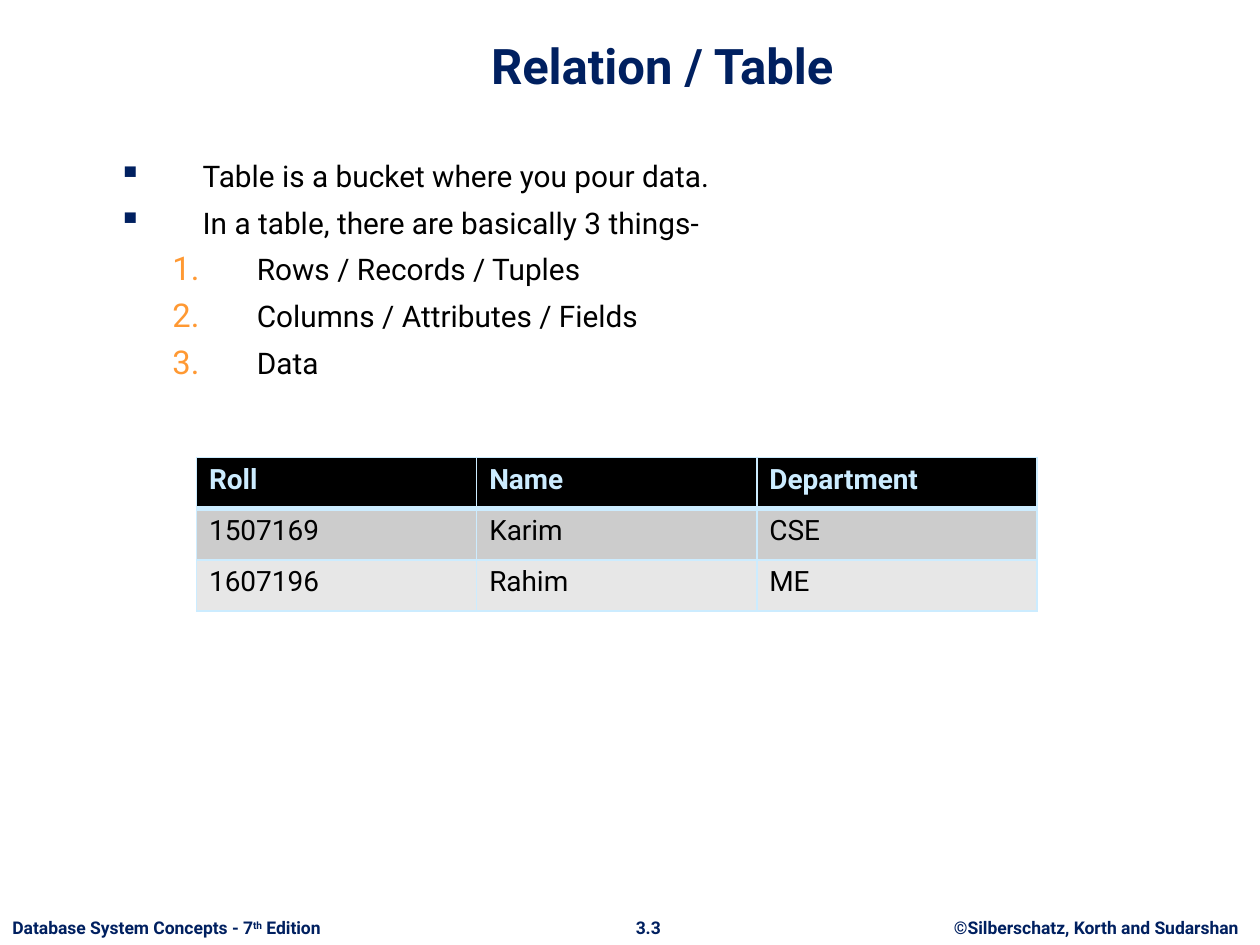
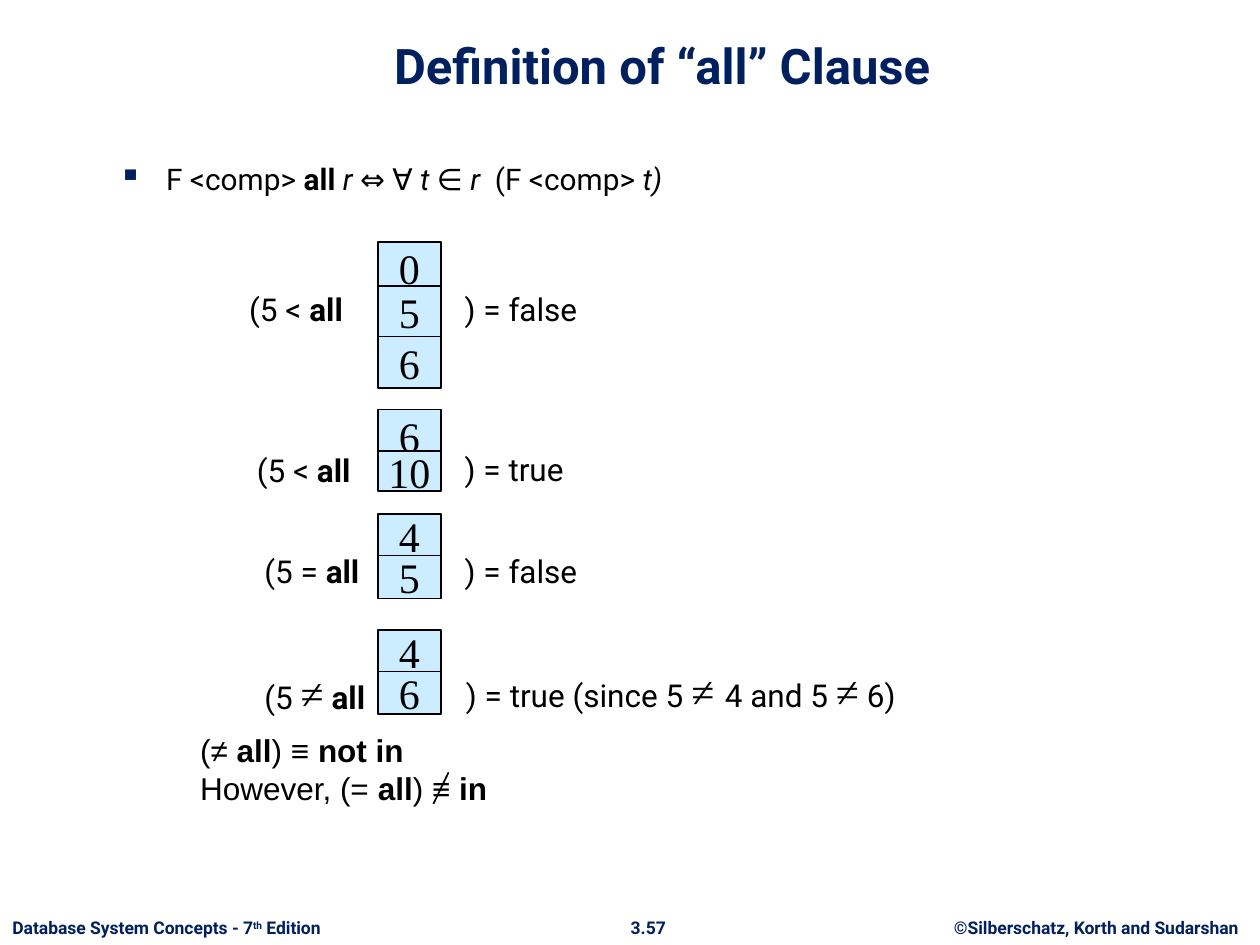
import pptx
import pptx.dml.color
import pptx.enum.shapes
import pptx.enum.text
import pptx.oxml
import pptx.oxml.ns
import pptx.util
from lxml import etree

Inches = pptx.util.Inches
Pt = pptx.util.Pt
ALIGN = pptx.enum.text.PP_ALIGN
ANCHOR = pptx.enum.text.MSO_ANCHOR

NAVY, BLACK, ORANGE, PALE_BLUE = "002060", "000000", "FF9933", "CCECFF"
ROW_FILLS = [BLACK, "CCCCCC", "E7E7E7"]
FONT, SERIF, SANS = "Roboto", "Times New Roman", "Arial"

BOLD = {"bold": True}
ITALIC = {"italic": True}
NOT_EQUAL = ("≠", {"size": 24, "font": SERIF})


def color(value):
    return pptx.dml.color.RGBColor.from_string(value)


def add_element(parent, tag, **attributes):
    return etree.SubElement(parent, pptx.oxml.ns.qn(tag), attributes)


def write_paragraph(paragraph, text, size=18, font=FONT, fill=BLACK, bold=False,
                    italic=False, raised=False, align=ALIGN.LEFT, before=0):
    """Write a string, or a list of strings and (string, format) pairs."""
    paragraph.alignment = align
    paragraph.space_before = Pt(before)
    for part in [text] if isinstance(text, str) else text:
        words, changes = (part, {}) if isinstance(part, str) else part
        look = {"size": size, "font": font, "bold": bold, "italic": italic,
                "raised": raised} | changes
        run = paragraph.add_run()
        run.text = words
        run.font.size = Pt(look["size"])
        run.font.name = look["font"]
        run.font.bold = look["bold"]
        run.font.italic = look["italic"]
        run.font.color.rgb = color(fill)
        if look["raised"]:
            run.font._element.set("baseline", "30000")


def add_text(slide, box, *lines, wrap=True, anchor=ANCHOR.TOP, **text_format):
    """Add a text box with one paragraph for each line."""
    frame = slide.shapes.add_textbox(*map(Inches, box)).text_frame
    frame.word_wrap = wrap
    frame.vertical_anchor = anchor
    for index, line in enumerate(lines):
        paragraph = frame.paragraphs[0] if index == 0 else frame.add_paragraph()
        write_paragraph(paragraph, line, **text_format)
    return frame


def add_bullet(paragraph, left, hanging, numbered=False):
    properties = paragraph._p.get_or_add_pPr()
    properties.set("marL", str(Inches(left)))
    properties.set("indent", str(-Inches(hanging)))
    bullet_color = add_element(properties, "a:buClr")
    add_element(bullet_color, "a:srgbClr", val=ORANGE if numbered else NAVY)
    add_element(properties, "a:buSzPct", val="110000")
    if numbered:
        add_element(properties, "a:buAutoNum", type="arabicPeriod")
    else:
        add_element(properties, "a:buChar", char="▪")


def add_base_slide(presentation, title, number):
    """Blank slide with the shared title and footers."""
    slide = presentation.slides.add_slide(presentation.slide_layouts[6])
    footers = [
        (0, 2.81, ["Database System Concepts - 7", ("th", {"raised": True}), " Edition"]),
        (4.9, 0.49, number),
        (7.4, 2.6, "©Silberschatz, Korth and Sudarshan"),
    ]
    for left, width, text in footers:
        add_text(slide, (left, 7.23, width, 0.27), text, wrap=False, size=10,
                 fill=NAVY, bold=True, align=ALIGN.CENTER if left else ALIGN.LEFT)
    add_text(slide, (0.84, 0.13, 8.83, 0.67), title, anchor=ANCHOR.BOTTOM,
             size=28, fill=NAVY, bold=True, align=ALIGN.CENTER)
    return slide


# Relation slide

def add_outline(slide, box):
    points = ["Table is a bucket where you pour data.",
              "In a table, there are basically 3 things-"]
    things = ["Rows / Records / Tuples", "Columns / Attributes / Fields", "Data"]
    frame = add_text(slide, box, *points, *things, size=17, before=6.4)
    frame.paragraphs[0].space_before = Pt(0)
    for index, paragraph in enumerate(frame.paragraphs):
        numbered = index >= len(points)
        add_bullet(paragraph, 1.1 if numbered else 0.67, 0.67, numbered)


def set_borders(cell, bottom):
    properties = cell._tc.get_or_add_tcPr()
    for position, side in enumerate(["L", "R", "T", "B"]):
        width = Pt(bottom if side == "B" else 1)
        line = pptx.oxml.parse_xml(
            f'<a:ln{side} {pptx.oxml.ns.nsdecls("a")} w="{width}"><a:solidFill>'
            f'<a:srgbClr val="{PALE_BLUE}"/></a:solidFill></a:ln{side}>')
        properties.insert(position, line)


def add_student_table(slide, box):
    rows = [["Roll", "Name", "Department"],
            ["1507169", "Karim", "CSE"],
            ["1607196", "Rahim", "ME"]]
    table = slide.shapes.add_table(len(rows), len(rows[0]), *map(Inches, box)).table
    table.horz_banding = False
    for row_index, row in enumerate(rows):
        header = row_index == 0
        for column_index, text in enumerate(row):
            cell = table.cell(row_index, column_index)
            cell.fill.solid()
            cell.fill.fore_color.rgb = color(ROW_FILLS[row_index])
            write_paragraph(cell.text_frame.paragraphs[0], text, size=16,
                            bold=header, fill=PALE_BLUE if header else BLACK)
            # The rule under the header is heavier and shared with the next row
            set_borders(cell, bottom=3 if header else 1)
            if row_index == 1:
                cell._tc.tcPr.find(pptx.oxml.ns.qn("a:lnT")).set("w", str(Pt(3)))


def build_relation_slide(presentation):
    slide = add_base_slide(presentation, "Relation / Table", "3.3")
    add_outline(slide, (0.84, 1.2, 8.43, 5.36))
    add_student_table(slide, (1.56, 3.63, 6.67, 1.22))


# "all" clause slide

def add_value_cell(slide, box, value):
    cell = slide.shapes.add_shape(pptx.enum.shapes.MSO_SHAPE.RECTANGLE,
                                  *map(Inches, box))
    cell.shadow.inherit = False
    cell.fill.solid()
    cell.fill.fore_color.rgb = color(PALE_BLUE)
    cell.line.color.rgb = color(BLACK)
    cell.line.width = Pt(1)
    cell.text_frame.word_wrap = False
    cell.text_frame.vertical_anchor = ANCHOR.MIDDLE
    write_paragraph(cell.text_frame.paragraphs[0], value, size=24, font=SERIF,
                    align=ALIGN.CENTER)


def add_comparison(slide, top, cells, left_text, right_text):
    """Cells are (value, offset, height); texts are (left, offset, runs)."""
    for value, offset, height in cells:
        add_value_cell(slide, (3, top + offset, 0.5, height), value)
    for (left, offset, runs), width in [(left_text, 1.83), (right_text, 5)]:
        add_text(slide, (left, top + offset, width, 0.4), runs)


def add_equivalences(slide, box):
    every = ("all", BOLD)
    add_text(slide, box,
             ["(≠ ", every, ") ≡ ", ("not in", BOLD)],
             ["However, (= ", every, ") ≡ ", ("in", BOLD)], font=SANS)
    # Stroke that negates the second equivalence sign
    left, top = box[:2]
    stroke = slide.shapes.add_connector(
        pptx.enum.shapes.MSO_CONNECTOR.STRAIGHT, Inches(left + 2.07),
        Inches(top + 0.38), Inches(left + 1.95), Inches(top + 0.63))
    stroke.line.color.rgb = color(BLACK)
    stroke.line.width = Pt(1)
    add_element(stroke._element.spPr, "a:effectLst")


def build_all_clause_slide(presentation):
    slide = add_base_slide(presentation, "Definition of “all” Clause", "3.57")
    definition = ["F <comp> ", ("all ", BOLD), ("r ", ITALIC), "⇔ ∀ ", ("t ", ITALIC),
                  "∈", (" r ", ITALIC), " (F <comp> ", ("t)", ITALIC)]
    frame = add_text(slide, (0.84, 1.23, 7.32, 0.42), definition, size=17)
    add_bullet(frame.paragraphs[0], 0.38, 0.38)

    every = ("all", BOLD)
    add_comparison(slide, 1.92,
                   [("0", 0, 0.41), ("5", 0.35, 0.41), ("6", 0.75, 0.41)],
                   (1.88, 0.33, ["(5 < ", every]), (3.59, 0.33, ") = false"))
    add_comparison(slide, 3.25, [("6", 0, 0.42), ("10", 0.33, 0.32)],
                   (1.94, 0.28, ["(5 < ", every]), (3.59, 0.27, ") = true"))
    add_comparison(slide, 4.08, [("4", 0, 0.34), ("5", 0.33, 0.34)],
                   (2, 0.25, ["(5 = ", every]), (3.59, 0.25, ") = false"))
    add_comparison(slide, 5, [("4", 0, 0.34), ("6", 0.33, 0.34)],
                   (2, 0.25, ["(5 ", NOT_EQUAL, " ", every]),
                   (3.6, 0.23, [") = true (since 5 ", NOT_EQUAL,
                                (" ", NOT_EQUAL[1]), "4 and 5 ", NOT_EQUAL, " 6)"]))
    add_equivalences(slide, (1.49, 5.75, 7.44, 0.78))


def main():
    presentation = pptx.Presentation()
    presentation.slide_width = Inches(10)
    presentation.slide_height = Inches(7.5)
    build_relation_slide(presentation)
    build_all_clause_slide(presentation)
    presentation.save("out.pptx")


if __name__ == "__main__":
    main()
